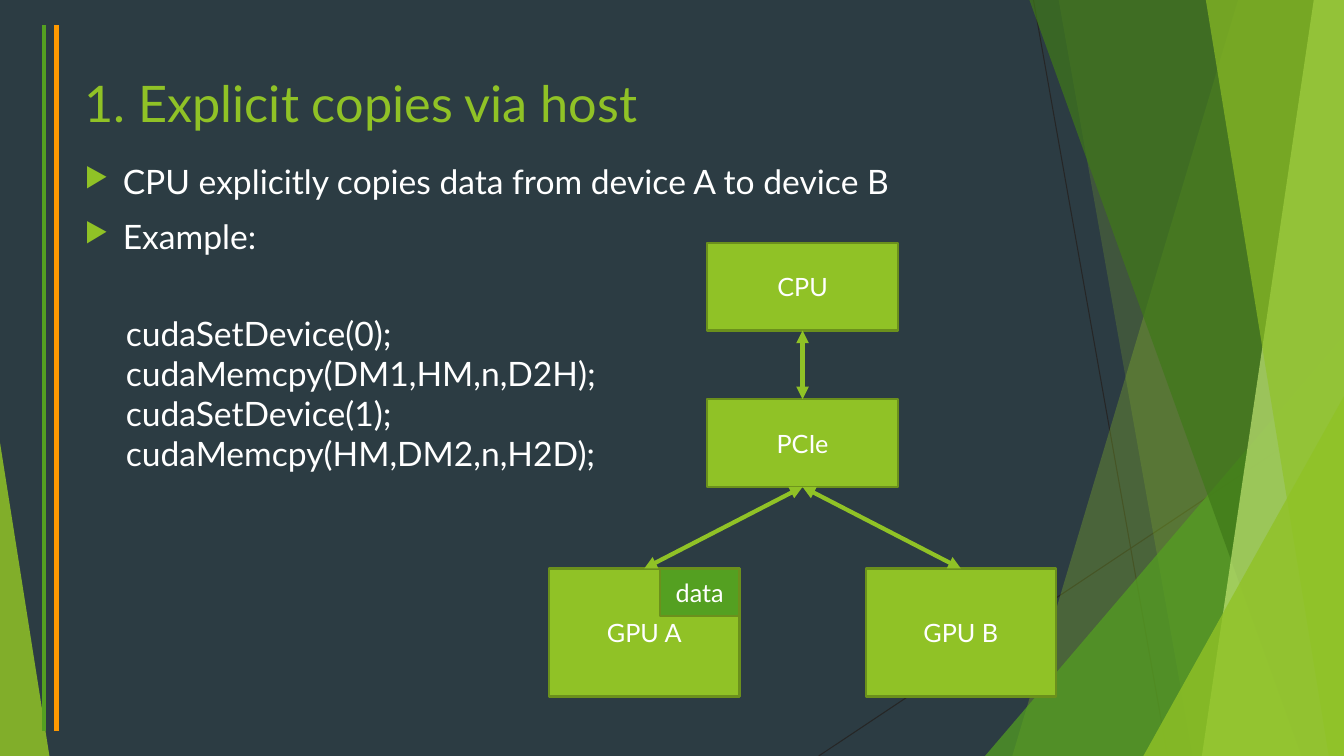
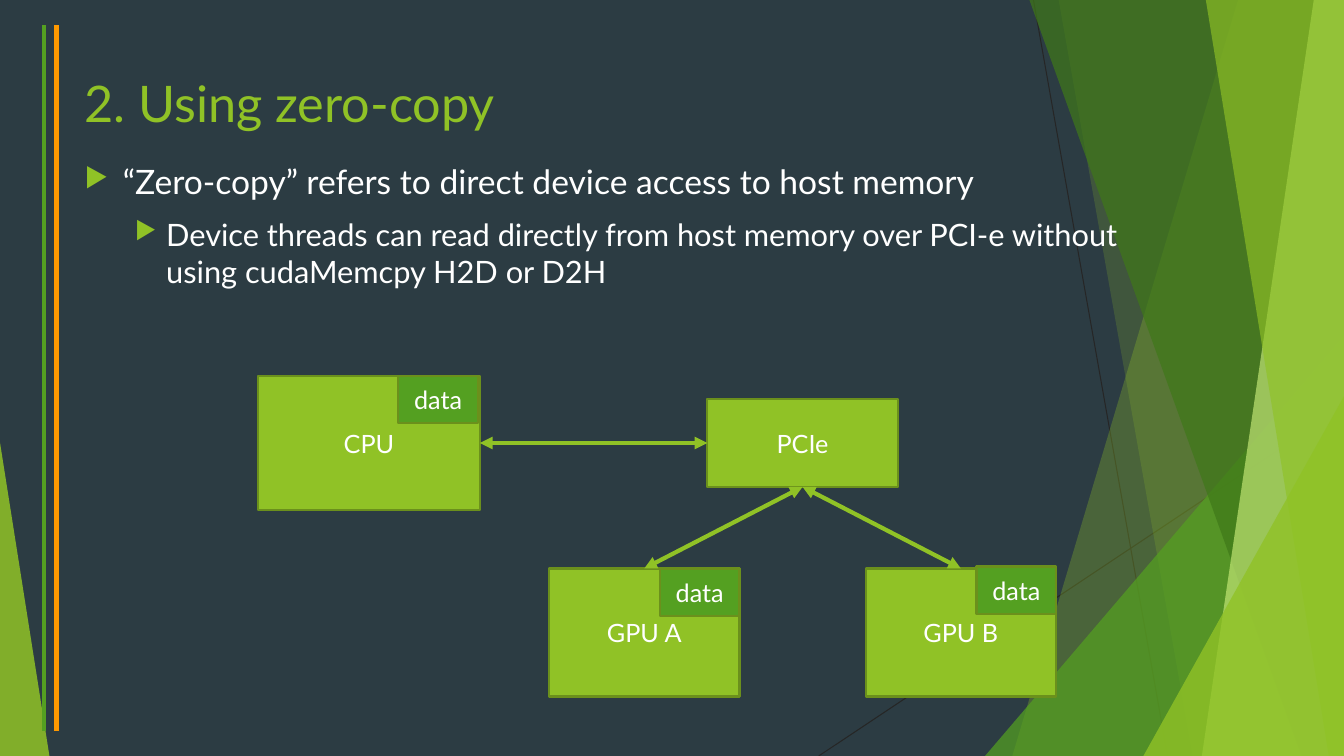
from dataclasses import dataclass

from lxml import etree
from pptx import Presentation
from pptx.dml.color import RGBColor
from pptx.enum.shapes import MSO_CONNECTOR, MSO_SHAPE
from pptx.enum.text import MSO_ANCHOR, PP_ALIGN
from pptx.oxml.ns import qn
from pptx.util import Inches, Pt

RECTANGLE, TRIANGLE = MSO_SHAPE.RECTANGLE, MSO_SHAPE.ISOSCELES_TRIANGLE
STRAIGHT = MSO_CONNECTOR.STRAIGHT
TOP, MIDDLE = MSO_ANCHOR.TOP, MSO_ANCHOR.MIDDLE
LEFT, CENTER = PP_ALIGN.LEFT, PP_ALIGN.CENTER


@dataclass(frozen=True)
class Theme:
    font: str = "Lato"
    night: str = "2C3C43"
    lime: str = "90C226"
    green: str = "54A021"
    forest: str = "3F7819"
    pale: str = "C0E474"
    edge: str = "6B901C"
    orange: str = "FF9900"
    thread: str = "262626"
    white: str = "FFFFFF"
    title_size: int = 36
    body_sizes: tuple = (24, 22)
    label_size: int = 18
    bullet_indents: tuple = ((0.38, -0.38), (0.81, -0.31))
    bullet_gap: int = 10
    thin: float = 0.75
    border: float = 1.5
    thick: float = 3


THEME = Theme()

# Grid: one-inch columns and rows
COLUMNS, ROWS = 13.33, 7.5
MARGIN, TITLE_TOP, BODY_TOP = 0.74, 0.67, 1.55
TITLE_WIDTH, TITLE_HEIGHT, BODY_HEIGHT = 9.4, 1.44, 5.06
CODE_AREA = (1.15, 3.05, 6.67, 1.72)
AXIS, SPREAD = 7.96, 1.57
BUS_TOP, GPU_TOP = 3.96, 5.64
NODE_WIDTH, BUS_HEIGHT, GPU_HEIGHT = 1.89, 0.87, 1.27
TAG_WIDTH, TAG_HEIGHT = 0.79, 0.47
BAR_INSET = 0.25
# Connection sites of a rectangle
SITE_TOP, SITE_LEFT, SITE_BOTTOM, SITE_RIGHT = range(4)

# Content: nodes are (centre column, top row, width, height)
BUS_NODES = {
    "PCIe": (AXIS, BUS_TOP, NODE_WIDTH, BUS_HEIGHT),
    "GPU A": (AXIS - SPREAD, GPU_TOP, NODE_WIDTH, GPU_HEIGHT),
    "GPU B": (AXIS + SPREAD, GPU_TOP, NODE_WIDTH, GPU_HEIGHT),
}
BUS_LINKS = [
    ("PCIe", SITE_BOTTOM, "GPU A", SITE_TOP),
    ("PCIe", SITE_BOTTOM, "GPU B", SITE_TOP),
]

# Tags sit in the top right corner of a node, moved by (columns, rows)
SLIDES = [
    {
        "title": "1. Explicit copies via host",
        "body_width": 9.4,
        "bullets": [
            (0, "CPU explicitly copies data from device A to device B"),
            (0, "Example:"),
        ],
        "code": [
            "cudaSetDevice(0);",
            "cudaMemcpy(DM1,HM,n,D2H);",
            "cudaSetDevice(1);",
            "cudaMemcpy(HM,DM2,n,H2D);",
        ],
        "cpu": (AXIS, 2.41, NODE_WIDTH, BUS_HEIGHT),
        "cpu_link": ("CPU", SITE_BOTTOM, "PCIe", SITE_TOP),
        "tags": {"GPU A": (0, 0)},
    },
    {
        "title": "2. Using zero-copy",
        "body_width": 10.81,
        "bullets": [
            (0, "“Zero-copy” refers to direct device access to host memory"),
            (1, "Device threads can read directly from host memory over PCI-e "
                "without using cudaMemcpy H2D or D2H"),
        ],
        "code": [],
        "cpu": (3.66, 3.73, 2.2, 1.33),
        "cpu_link": ("CPU", SITE_RIGHT, "PCIe", SITE_LEFT),
        "tags": {"GPU A": (0, 0), "GPU B": (0, -0.02), "CPU": (-0.02, 0)},
    },
]

# Backdrop, back to front
THREADS = [((10.25, 0), (11.58, ROWS)), ((COLUMNS, 4.03), (8.12, ROWS))]
# Wedges: (column at top, column at bottom); triangles: (left, top, width, apex)
FACETS = [
    ("wedge", (12.28, 10.04), THEME.lime, 30),
    ("wedge", (10.5, 11.83), THEME.lime, 20),
    ("triangle", (9.77, 3.33, 3.56, 1), THEME.green, 72),
    ("wedge", (10.21, 12.91), THEME.forest, 70),
    ("wedge", (13.03, 11.92), THEME.pale, 70),
    ("wedge", (11.96, 13.18), THEME.lime, 65),
    ("triangle", (11.34, 3.93, 1.99, 1), THEME.lime, 80),
    ("triangle", (0, 4.39, 0.49, 0), THEME.lime, 85),
]
BARS = [(0.44, THEME.green), (0.56, THEME.orange)]


# Formatting helpers
def set_values(target, values):
    for name, value in values.items():
        setattr(target, name, value)


def add_xml(parent, tag, **attributes):
    return etree.SubElement(parent, qn(tag), attributes)


def paint(shape, color, opacity=100, edge=None):
    shape.shadow.inherit = False
    shape.fill.solid()
    shape.fill.fore_color.rgb = RGBColor.from_string(color)
    if opacity < 100:
        tone = shape._element.spPr.find(f"{qn('a:solidFill')}/{qn('a:srgbClr')}")
        add_xml(tone, "a:alpha", val=str(opacity * 1000))
    if edge:
        shape.line.color.rgb = RGBColor.from_string(edge)
        shape.line.width = Pt(THEME.border)
    else:
        shape.line.fill.background()


def write(box, lines, size, color, align=LEFT, anchor=TOP):
    set_values(box.text_frame, {"word_wrap": True, "vertical_anchor": anchor})
    box.text_frame.text = "\n".join(lines)
    for para in box.text_frame.paragraphs:
        para.alignment = align
        for span in para.runs:
            set_values(span.font, {"name": THEME.font, "size": Pt(size)})
            span.font.color.rgb = RGBColor.from_string(color)


def add_text(page, area, lines, size, color):
    box = page.shapes.add_textbox(*map(Inches, area))
    write(box, lines, size, color)
    return box


def add_line(page, start, end, color, width, arrows=False):
    line = page.shapes.add_connector(STRAIGHT, *map(Inches, (*start, *end)))
    line.line.color.rgb = RGBColor.from_string(color)
    line.line.width = Pt(width)
    if arrows:
        for tag in ("a:headEnd", "a:tailEnd"):
            add_xml(line.line._get_or_add_ln(), tag, type="triangle")
    add_xml(line._element.spPr, "a:effectLst")
    return line


# Parts of a slide
def add_facet(page, kind, place, color, opacity):
    if kind == "wedge":
        top, bottom = place
        outline = page.shapes.build_freeform(Inches(top), 0)
        corners = [(COLUMNS, 0), (COLUMNS, ROWS), (bottom, ROWS)]
        outline.add_line_segments([(Inches(x), Inches(y)) for x, y in corners])
        facet = outline.convert_to_shape()
    else:
        left, top, width, apex = place
        area = map(Inches, (left, top, width, ROWS - top))
        facet = page.shapes.add_shape(TRIANGLE, *area)
        facet.adjustments[0] = apex
    paint(facet, color, opacity)


def add_backdrop(page):
    for start, end in THREADS:
        add_line(page, start, end, THEME.thread, THEME.thin)
    for facet in FACETS:
        add_facet(page, *facet)
    for column, color in BARS:
        add_line(page, (column, BAR_INSET), (column, ROWS - BAR_INSET), color, THEME.thick)


def add_bullets(page, width, bullets):
    area = (MARGIN, BODY_TOP, width, BODY_HEIGHT)
    lines = [text for _, text in bullets]
    box = add_text(page, area, lines, THEME.body_sizes[0], THEME.white)
    for para, (level, _) in zip(box.text_frame.paragraphs, bullets):
        set_values(para, {"level": level, "space_before": Pt(THEME.bullet_gap)})
        para.runs[0].font.size = Pt(THEME.body_sizes[level])
        margin, indent = THEME.bullet_indents[level]
        layout = para._p.get_or_add_pPr()
        layout.set("marL", str(Inches(margin)))
        layout.set("indent", str(Inches(indent)))
        add_xml(add_xml(layout, "a:buClr"), "a:srgbClr", val=THEME.lime)
        add_xml(layout, "a:buSzPct", val="80000")
        add_xml(layout, "a:buChar", char="▶")


def add_label_box(page, area, label, color):
    box = page.shapes.add_shape(RECTANGLE, *map(Inches, area))
    paint(box, color, edge=THEME.edge)
    write(box, [label], THEME.label_size, THEME.white, CENTER, MIDDLE)
    return box


def add_diagram(page, nodes, links, tags):
    boxes = {}
    for name, (center, top, width, height) in nodes.items():
        area = (center - width / 2, top, width, height)
        boxes[name] = add_label_box(page, area, name, THEME.lime)
    for name, (shift_x, shift_y) in tags.items():
        center, top, width, _ = nodes[name]
        left = center + width / 2 - TAG_WIDTH + shift_x
        area = (left, top + shift_y, TAG_WIDTH, TAG_HEIGHT)
        add_label_box(page, area, "data", THEME.green)
    for source, source_site, target, target_site in links:
        link = add_line(page, (0, 0), (1, 1), THEME.lime, THEME.thick, arrows=True)
        link.begin_connect(boxes[source], source_site)
        link.end_connect(boxes[target], target_site)


# Build the deck
deck = Presentation()
set_values(deck, {"slide_width": Inches(COLUMNS), "slide_height": Inches(ROWS)})
backdrop_fill = deck.slide_master.background.fill
backdrop_fill.solid()
backdrop_fill.fore_color.rgb = RGBColor.from_string(THEME.night)
blank = deck.slide_layouts[6]

for content in SLIDES:
    page = deck.slides.add_slide(blank)
    add_backdrop(page)
    title_area = (MARGIN, TITLE_TOP, TITLE_WIDTH, TITLE_HEIGHT)
    add_text(page, title_area, [content["title"]], THEME.title_size, THEME.lime)
    add_bullets(page, content["body_width"], content["bullets"])
    if content["code"]:
        add_text(page, CODE_AREA, content["code"], THEME.body_sizes[0], THEME.white)
    nodes = {"CPU": content["cpu"], **BUS_NODES}
    add_diagram(page, nodes, [content["cpu_link"], *BUS_LINKS], content["tags"])

deck.save("out.pptx")
